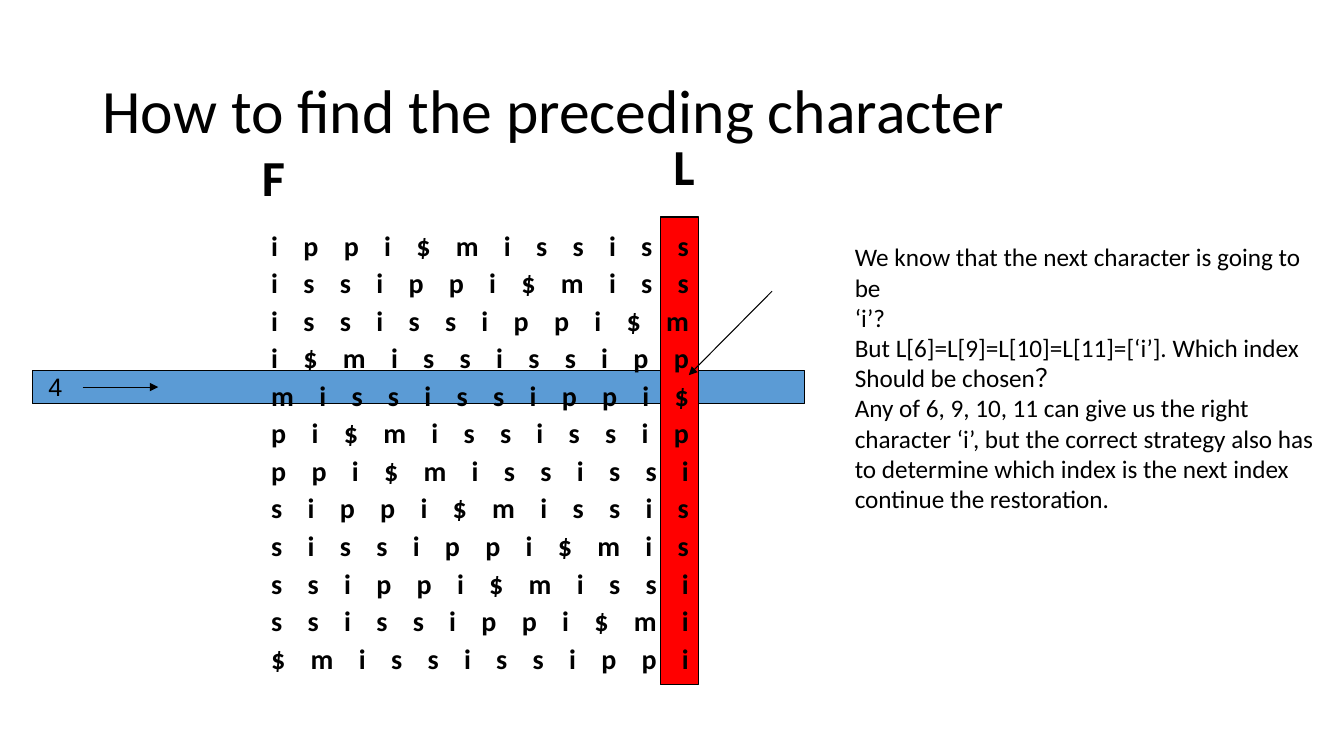
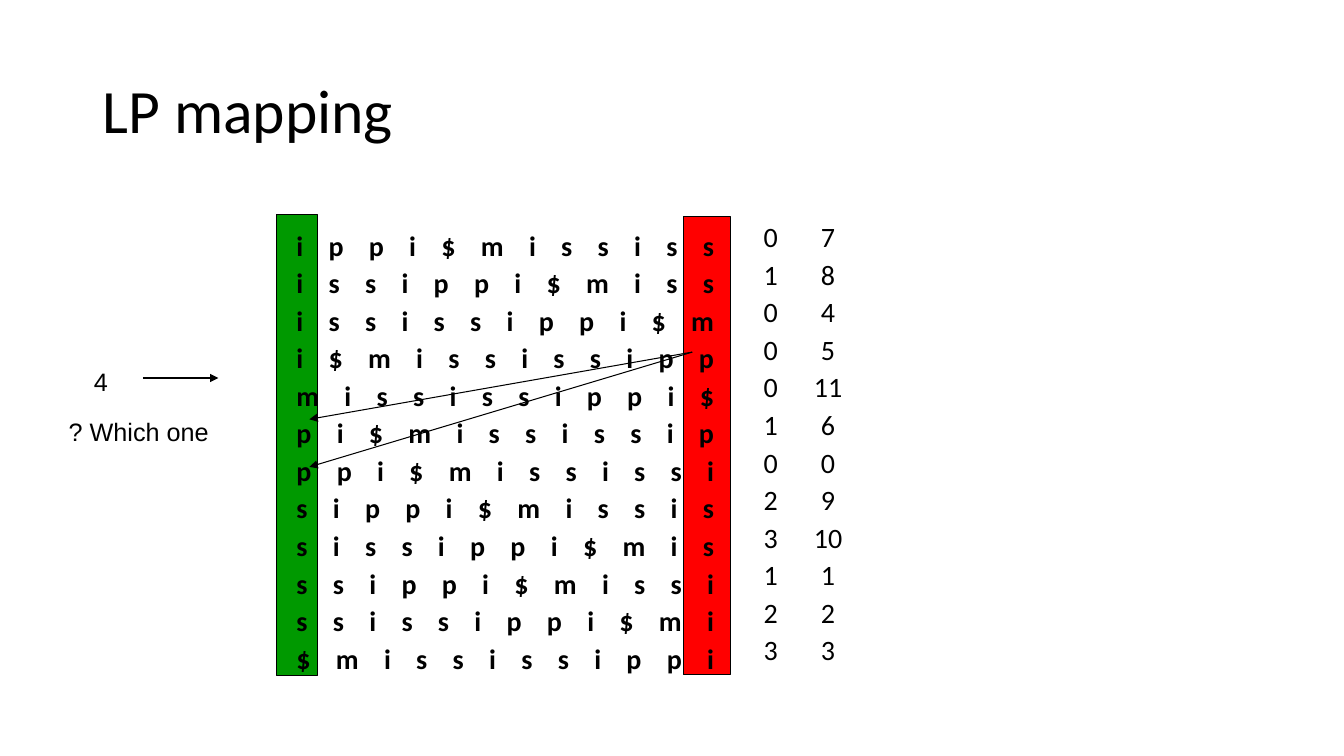
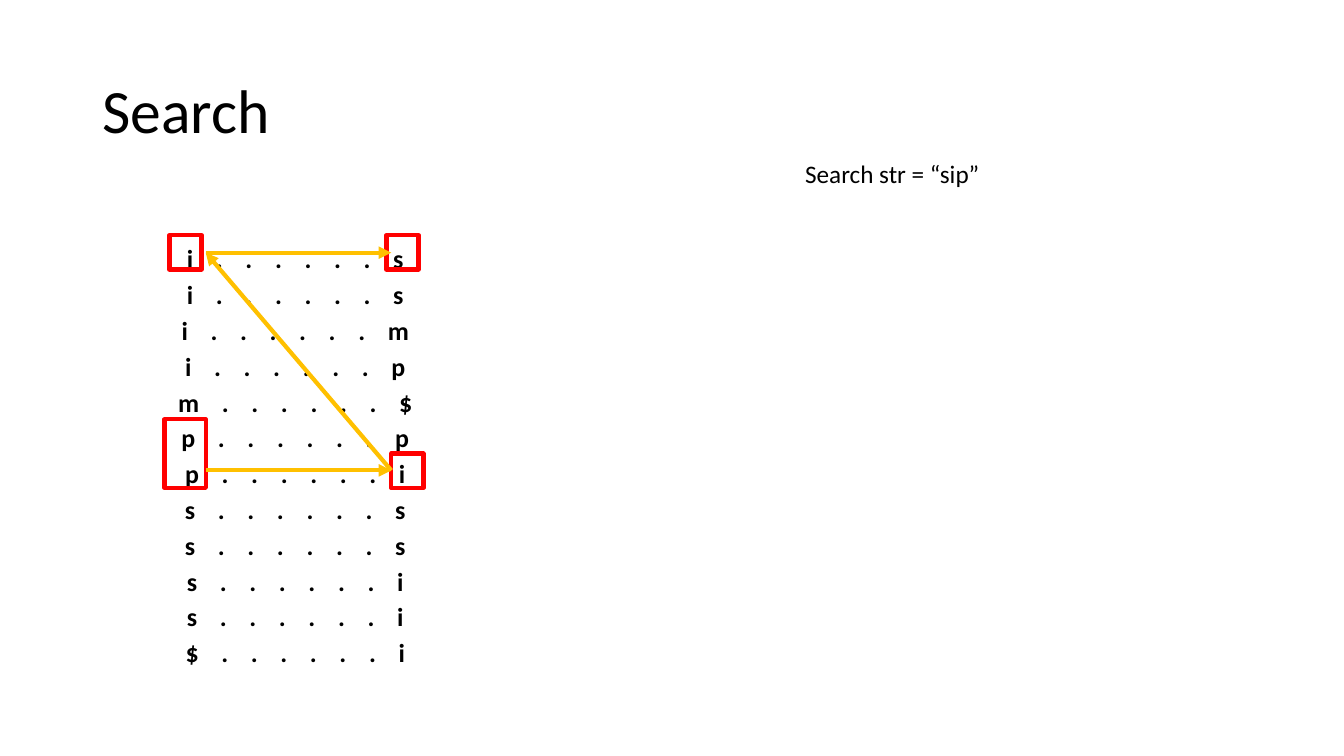
from dataclasses import dataclass
from typing import Optional, Sequence

from lxml import etree
from pptx import Presentation
from pptx.dml.color import RGBColor
from pptx.enum.shapes import MSO_CONNECTOR, MSO_SHAPE
from pptx.enum.text import MSO_ANCHOR, MSO_AUTO_SIZE, PP_ALIGN
from pptx.oxml.ns import qn
from pptx.slide import Slide
from pptx.text.text import TextFrame
from pptx.util import Pt

# Shared style
BLACK = RGBColor(0x00, 0x00, 0x00)
BLUE = RGBColor(0x5B, 0x9B, 0xD5)
RED = RGBColor(0xFF, 0x00, 0x00)
GREEN = RGBColor(0x00, 0x99, 0x00)
GOLD = RGBColor(0xFF, 0xC0, 0x00)
LEFT, CENTER = PP_ALIGN.LEFT, PP_ALIGN.CENTER
MIDDLE, TOP = MSO_ANCHOR.MIDDLE, MSO_ANCHOR.TOP
NO_AUTOFIT = MSO_AUTO_SIZE.NONE
RECTANGLE, STRAIGHT = MSO_SHAPE.RECTANGLE, MSO_CONNECTOR.STRAIGHT
TITLE_AND_BODY, TITLE_ONLY = 1, 5
BODY_FONT, MARK_FONT = "Calibri", "Arial"
THIN, THICK = 0.75, 3


@dataclass(frozen=True)
class Box:
    left: float
    top: float
    width: float
    height: float


@dataclass(frozen=True)
class Frame:
    box: Box
    fill: Optional[RGBColor] = None
    line: RGBColor = BLACK
    weight: float = THIN


@dataclass(frozen=True)
class Arrow:
    start: tuple[float, float]
    end: tuple[float, float]
    color: RGBColor = BLACK
    weight: float = THIN


@dataclass(frozen=True)
class Style:
    size: float = 18
    font: str = BODY_FONT
    bold: bool = False
    align: PP_ALIGN = LEFT
    line_spacing: float = 1.0
    space_before: float = 0
    tracking: float = 0  # extra points after each character


@dataclass(frozen=True)
class Label:
    box: Box
    lines: Sequence[str]
    style: Style = Style()
    wrap: bool = True


TITLE_BOX = Box(66, 29, 828, 104)
TITLE_STYLE = Style(size=44, line_spacing=0.9)
MARK = Style(font=MARK_FONT)
COLUMN_HEAD = Style(size=36, bold=True)
COUNTS = Style(size=20, align=CENTER, line_spacing=0.7, space_before=10)
MATRIX = Style(20, BODY_FONT, True, CENTER, 0.7, 10, 6.78)
SEARCH_ROWS = Style(18.5, BODY_FONT, True, CENTER, 0.7, 10, 6)

# Sorted rotations; the end mark sorts after the letters
WORD = "mississippi$"
ROTATIONS = sorted((WORD[i:] + WORD[:i] for i in range(len(WORD))),
                   key=lambda row: row.replace("$", "~"))
FIRST = "".join(row[0] for row in ROTATIONS)
LAST = "".join(row[-1] for row in ROTATIONS)
RANKS = [LAST[:i].count(char) for i, char in enumerate(LAST)]
MAPPING = [FIRST.index(char) + rank for char, rank in zip(LAST, RANKS)]
MATRIX_LINES = [" ".join(row) for row in ROTATIONS]


def place(shape, box: Box) -> None:
    shape.left, shape.top = Pt(box.left), Pt(box.top)
    shape.width, shape.height = Pt(box.width), Pt(box.height)


def write(frame: TextFrame, lines: Sequence[str], style: Style,
          wrap: bool = True, anchor: MSO_ANCHOR = TOP) -> None:
    frame.text = "\n".join(lines)
    frame.word_wrap, frame.auto_size = wrap, NO_AUTOFIT
    frame.vertical_anchor = anchor
    for paragraph in frame.paragraphs:
        paragraph.alignment = style.align
        paragraph.line_spacing = style.line_spacing
        paragraph.space_before = Pt(style.space_before)
        paragraph.space_after = Pt(0)
        properties = paragraph._p.get_or_add_pPr()
        properties.set("marL", "0")
        properties.set("indent", "0")
        etree.SubElement(properties, qn("a:buNone"))
        for run in paragraph.runs:
            run.font.name, run.font.size = style.font, Pt(style.size)
            run.font.bold = style.bold
            run.font.color.rgb = BLACK
            if style.tracking:
                run._r.get_or_add_rPr().set("spc", str(round(style.tracking * 100)))


def add_titled_slide(layout: int, title: str) -> Slide:
    slide = deck.slides.add_slide(deck.slide_layouts[layout])
    place(slide.shapes.title, TITLE_BOX)
    write(slide.shapes.title.text_frame, [title], TITLE_STYLE, anchor=MIDDLE)
    return slide


def add_frames(slide: Slide, frames: Sequence[Frame]) -> None:
    for frame in frames:
        box = frame.box
        shape = slide.shapes.add_shape(RECTANGLE, Pt(box.left), Pt(box.top),
                                       Pt(box.width), Pt(box.height))
        shape.shadow.inherit = False
        if frame.fill is None:
            shape.fill.background()
        else:
            shape.fill.solid()
            shape.fill.fore_color.rgb = frame.fill
        shape.line.color.rgb = frame.line
        shape.line.width = Pt(frame.weight)


def add_labels(slide: Slide, labels: Sequence[Label]) -> None:
    for label in labels:
        box = label.box
        shape = slide.shapes.add_textbox(Pt(box.left), Pt(box.top),
                                         Pt(box.width), Pt(box.height))
        write(shape.text_frame, label.lines, label.style, label.wrap)


def add_arrows(slide: Slide, arrows: Sequence[Arrow]) -> None:
    for arrow in arrows:
        connector = slide.shapes.add_connector(
            STRAIGHT, *(Pt(value) for value in arrow.start + arrow.end))
        connector.line.color.rgb = arrow.color
        connector.line.width = Pt(arrow.weight)
        etree.SubElement(connector.line._get_or_add_ln(), qn("a:tailEnd"), type="triangle")
        etree.SubElement(connector._element.spPr, qn("a:effectLst"))


deck = Presentation()
deck.slide_width, deck.slide_height = Pt(960), Pt(540)

# Slide 1: the preceding character
preceding = add_titled_slide(TITLE_ONLY, "How to find the preceding character")
add_frames(preceding, [
    Frame(Box(23, 264.5, 552, 24), BLUE),
    Frame(Box(471.5, 155, 27.5, 334), RED),
])
add_labels(preceding, [
    Label(Box(31, 166, 624, 322), MATRIX_LINES, MATRIX),
    Label(Box(27.5, 261.5, 24.5, 29), ["4"], MARK, wrap=False),
    Label(Box(603.5, 169, 348.5, 204), [
        "We know that the next character is going to be",
        "‘i’?",
        "But L[6]=L[9]=L[10]=L[11]=[‘i’]. Which index ",
        "Should be chosen？",
        "Any of 6, 9, 10, 11 can give us the right character ‘i’, but the correct "
        "strategy also has to determine which index is the next index continue "
        "the restoration.",
    ]),
    Label(Box(474, 93, 27.5, 51), ["L"], COLUMN_HEAD),
    Label(Box(180, 101, 27.5, 51), ["F"], COLUMN_HEAD),
])
add_arrows(preceding, [
    Arrow((59, 276.5), (113, 276.5)),
    Arrow((551.5, 208), (492, 268)),
])

# Slide 2: mapping the last column to the first
mapping = add_titled_slide(TITLE_ONLY, "LP mapping")
add_frames(mapping, [
    Frame(Box(488, 155, 33.5, 327), RED),
    Frame(Box(197.5, 153.5, 29, 329), GREEN),
])
add_labels(mapping, [
    Label(Box(37, 166, 648, 322), MATRIX_LINES, MATRIX),
    Label(Box(60, 258, 24.5, 29), ["4"], MARK, wrap=False),
    Label(Box(42, 294, 114.5, 29), ["? Which one"], MARK, wrap=False),
    Label(Box(538, 160, 25, 323), [str(rank) for rank in RANKS], COUNTS),
    Label(Box(567.5, 160, 48, 322), [str(row) for row in MAPPING], COUNTS),
])
last_p = (494.5, 251.5)
add_arrows(mapping, [
    Arrow((102, 270), (156, 270)),
    Arrow(last_p, (221, 299.5)),
    Arrow(last_p, (221, 333.5)),
])

# Slide 3: searching backwards
search = add_titled_slide(TITLE_AND_BODY, "Search")
search_rows = search.placeholders[1]
place(search_rows, Box(66, 176, 290, 311))
write(search_rows.text_frame,
      [" ".join([first, *"......", last]) for first, last in zip(FIRST, LAST)],
      SEARCH_ROWS)
add_labels(search, [Label(Box(568, 109.5, 198, 29), ["Search str = “sip”"])])
add_frames(search, [Frame(box, line=RED, weight=THICK) for box in (
    Box(117.5, 299.5, 29.5, 49),
    Box(279.5, 324, 23, 24.5),
    Box(121, 168, 23, 24.5),
    Box(276, 168, 23, 24.5),
)])
first_p, last_i = (147, 336), (279.5, 336)
first_i, last_s = (147, 180.5), (279.5, 180.5)
add_arrows(search, [Arrow(start, end, GOLD, THICK) for start, end in (
    (first_p, last_i), (last_i, first_i), (first_i, last_s))])

deck.save("out.pptx")
